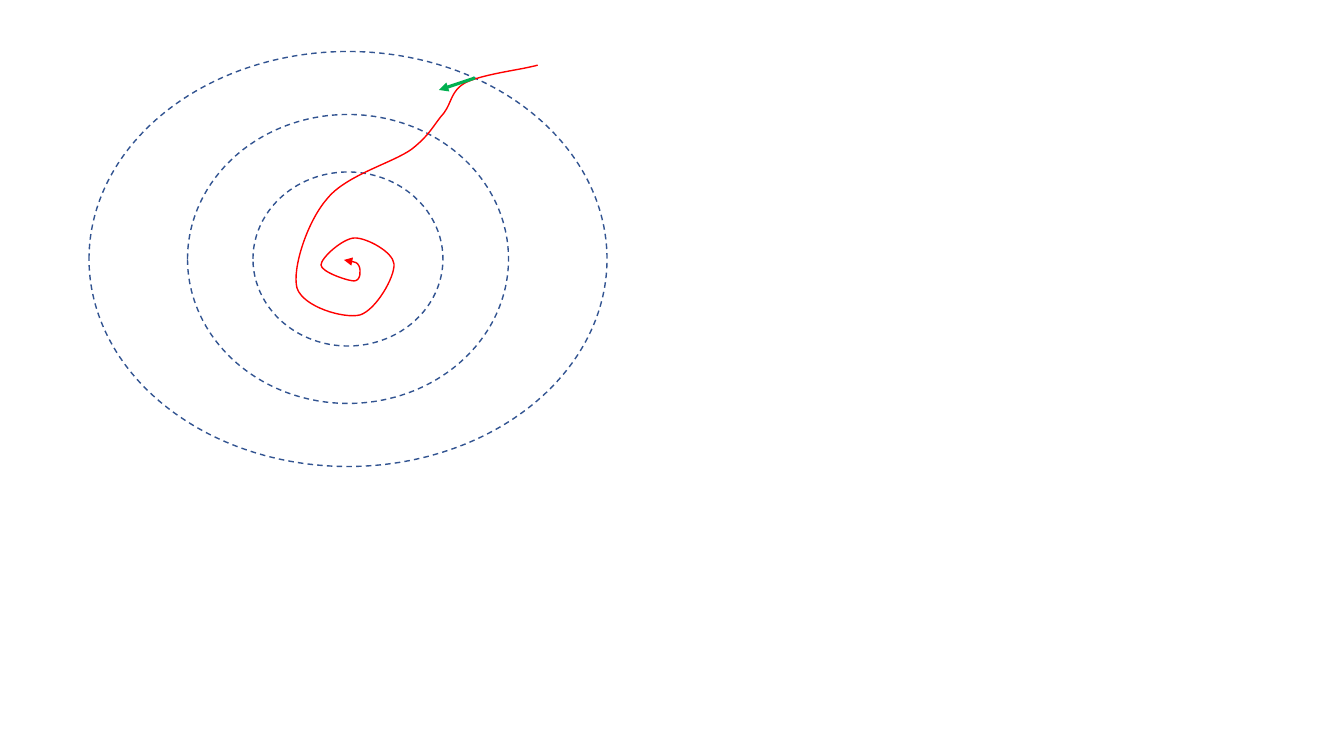
from lxml.etree import SubElement
from pptx import Presentation
from pptx.dml.color import RGBColor
from pptx.enum.dml import MSO_LINE
from pptx.enum.shapes import MSO_CONNECTOR, MSO_SHAPE
from pptx.oxml.ns import qn
from pptx.util import Pt

PX = 914400 / 100.8
COLORS = {"contour": "325491", "descent": "FF0000", "gradient": "00B050"}


def px(length):
    return round(length * PX)


def style_line(shape, color, width, arrow=False):
    shape.line.color.rgb = RGBColor.from_string(COLORS[color])
    shape.line.width = Pt(width)
    if arrow:
        SubElement(shape.line._get_or_add_ln(), qn("a:tailEnd"), type="triangle")


deck = Presentation()
deck.slide_width, deck.slide_height = px(1344), px(756)
page = deck.slides.add_slide(deck.slide_layouts[6])

# Dashed contours around one centre
CENTER_X, CENTER_Y = 348, 259
for width, height in [(518, 415), (321, 289), (190, 174)]:
    contour = page.shapes.add_shape(
        MSO_SHAPE.OVAL, px(CENTER_X - width / 2), px(CENTER_Y - height / 2),
        px(width), px(height))
    contour.shadow.inherit = False
    contour.fill.background()
    style_line(contour, "contour", 1)
    contour.line.dash_style = MSO_LINE.DASH

# Descent path: each row holds two control points and an end point
START = (537, 65)
CURVES = [
    [(540, 65), (530, 67), (530, 67)],
    [(518, 70), (480, 75), (465, 83)],
    [(451, 91), (452, 102), (444, 113)],
    [(434, 124), (431, 134), (412, 149)],
    [(393, 163), (346, 175), (327, 199)],
    [(307, 222), (292, 269), (297, 288)],
    [(303, 307), (344, 319), (360, 315)],
    [(376, 310), (395, 277), (394, 264)],
    [(393, 252), (367, 238), (355, 238)],
    [(343, 238), (321, 258), (321, 265)],
    [(321, 272), (348, 281), (354, 281)],
    [(361, 281), (361, 270), (359, 266)],
    [(357, 262), (350, 261), (344, 260)],
]
builder = page.shapes.build_freeform(*START, scale=PX)
for curve in CURVES:
    builder.add_line_segments(curve, close=False)
descent = builder.convert_to_shape()
descent.shadow.inherit = False
descent.fill.background()
style_line(descent, "descent", 1, arrow=True)

# Merge every three straight segments into one Bézier curve
outline = next(descent._element.iter(qn("a:path")))
segments = outline.findall(qn("a:lnTo"))
for first in range(0, len(segments), 3):
    bezier = SubElement(outline, qn("a:cubicBezTo"))
    for segment in segments[first:first + 3]:
        bezier.append(segment[0])
        outline.remove(segment)

# Gradient arrow at the outer contour
gradient = page.shapes.add_connector(
    MSO_CONNECTOR.STRAIGHT, px(475), px(78), px(439), px(90))
style_line(gradient, "gradient", 2.25, arrow=True)
SubElement(gradient._element.spPr, qn("a:effectLst"))

deck.save("out.pptx")
